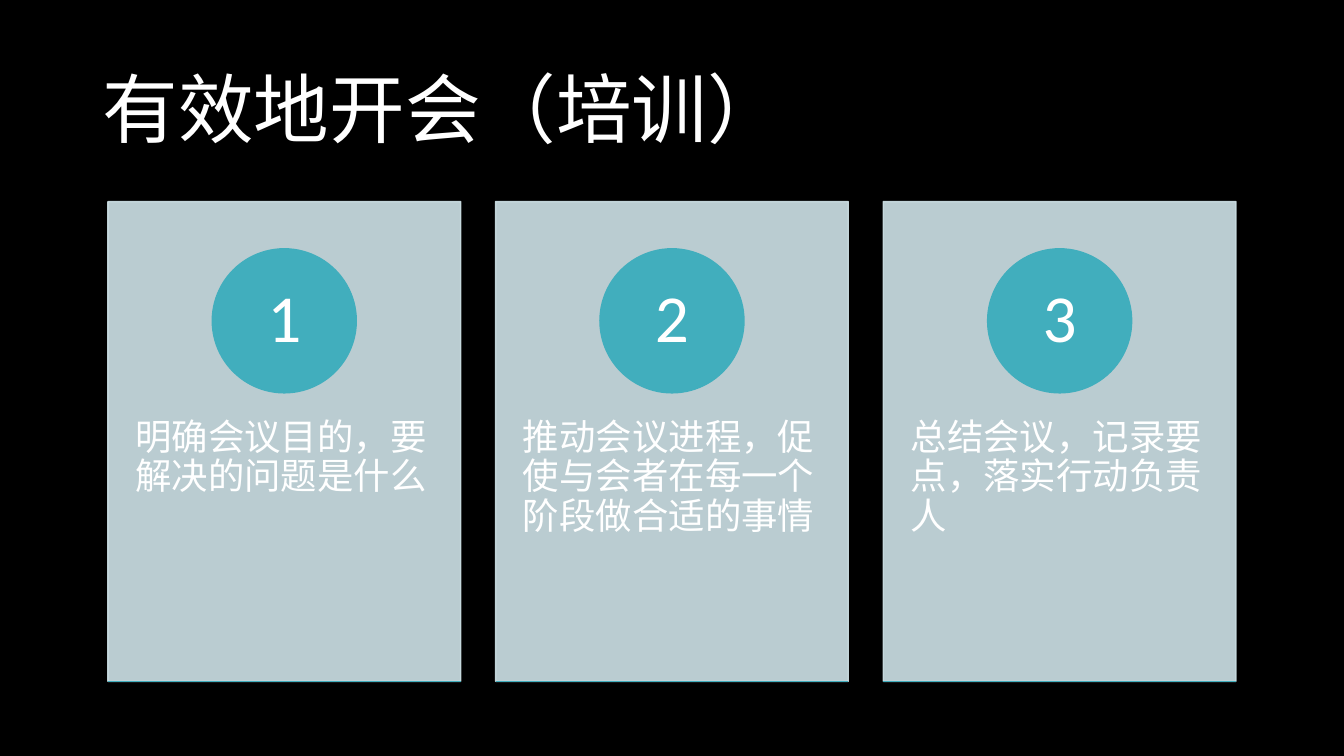
from lxml import etree
from pptx import Presentation
from pptx.dml.color import RGBColor
from pptx.enum.shapes import MSO_CONNECTOR, MSO_SHAPE
from pptx.enum.text import MSO_ANCHOR, PP_ALIGN
from pptx.oxml.ns import qn
from pptx.util import Cm, Pt

RECT, OVAL = MSO_SHAPE.RECTANGLE, MSO_SHAPE.OVAL
LINE = MSO_CONNECTOR.STRAIGHT
TOP, MIDDLE = MSO_ANCHOR.TOP, MSO_ANCHOR.MIDDLE
LEFT, CENTER = PP_ALIGN.LEFT, PP_ALIGN.CENTER

BLACK = RGBColor(0x00, 0x00, 0x00)
WHITE = RGBColor(0xFF, 0xFF, 0xFF)
PALE = RGBColor(0xCF, 0xE3, 0xE8)
TEAL = RGBColor(0x41, 0xAE, 0xBD)
FONT = "Calibri"

TITLE = "有效地开会（培训）"
STEPS = [
    "明确会议目的，要解决的问题是什么",
    "推动会议进程，促使与会者在每一个阶段做合适的事情",
    "总结会议，记录要点，落实行动负责人",
]

CARD_X, CARD_Y = 2.72, 5.08
CARD_W, CARD_H = 8.89, 12.09
PITCH = 9.77
DISC_Y, DISC = 6.27, 3.63
BODY_Y, BODY_H = 9.65, 7.26


def write(shape, text, size, pad, anchor=TOP, align=LEFT):
    frame = shape.text_frame
    frame.word_wrap = True
    frame.vertical_anchor = anchor
    frame.margin_left = frame.margin_right = Cm(pad[0])
    frame.margin_top = frame.margin_bottom = Cm(pad[1])
    para = frame.paragraphs[0]
    para.alignment = align
    para.line_spacing = 0.9
    run = para.add_run()
    run.text = text
    run.font.name = FONT
    run.font.size = Pt(size)
    run.font.color.rgb = WHITE


def add_box(slide, x, y, w, h, *style):
    box = slide.shapes.add_textbox(Cm(x), Cm(y), Cm(w), Cm(h))
    write(box, *style)


def add_form(slide, kind, x, y, w, h, color):
    form = slide.shapes.add_shape(kind, Cm(x), Cm(y), Cm(w), Cm(h))
    form.shadow.inherit = False
    form.fill.solid()
    form.fill.fore_color.rgb = color
    form.line.color.rgb = color
    form.line.width = Pt(1)
    return form


def fade(form, percent):
    for color in form._element.spPr.iter(qn("a:srgbClr")):
        etree.SubElement(color, qn("a:alpha"), val=str(percent * 1000))


def add_rule(slide, x, y, w):
    rule = slide.shapes.add_connector(LINE, Cm(x), Cm(y), Cm(x + w), Cm(y))
    rule.line.color.rgb = TEAL
    rule.line.width = Pt(1)
    etree.SubElement(rule._element.spPr, qn("a:effectLst"))


def add_card(slide, x, number, text):
    card = add_form(slide, RECT, x, CARD_Y, CARD_W, CARD_H, PALE)
    fade(card, 90)
    add_box(slide, x, BODY_Y, CARD_W, BODY_H, text, 26, (0.69, 0.91))
    left = x + (CARD_W - DISC) / 2
    disc = add_form(slide, OVAL, left, DISC_Y, DISC, DISC, TEAL)
    write(disc, str(number), 48, (0.28, 0.03), MIDDLE, CENTER)
    add_rule(slide, x, CARD_Y + CARD_H, CARD_W)


def main():
    deck = Presentation()
    deck.slide_width, deck.slide_height = Cm(33.87), Cm(19.05)
    slide = deck.slides.add_slide(deck.slide_layouts[6])
    slide.background.fill.solid()
    slide.background.fill.fore_color.rgb = BLACK
    add_box(slide, 2.34, 1.02, 29.21, 3.68, TITLE, 54, (0.25, 0.13), MIDDLE)
    for index, text in enumerate(STEPS):
        add_card(slide, CARD_X + index * PITCH, index + 1, text)
    deck.save("out.pptx")


if __name__ == "__main__":
    main()
